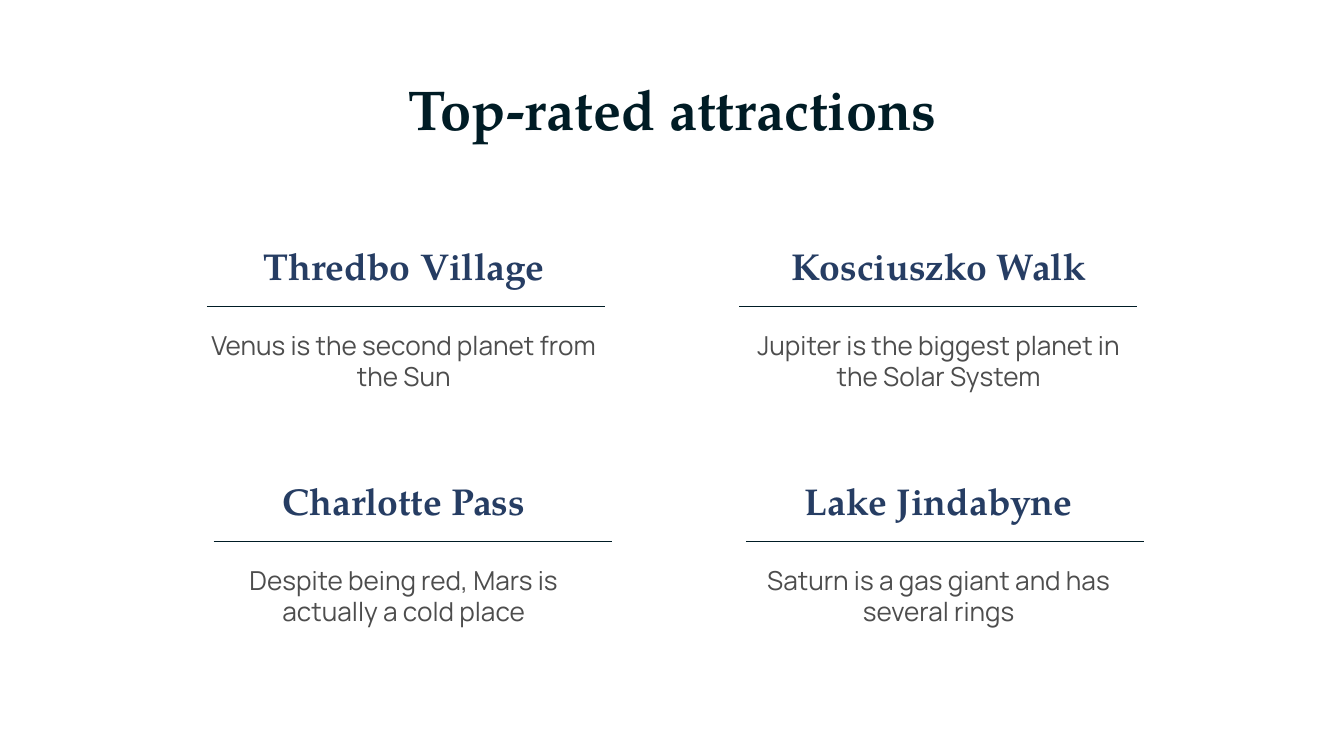
from dataclasses import dataclass

from lxml.etree import SubElement
from pptx import Presentation
from pptx.dml.color import RGBColor
from pptx.enum.shapes import MSO_CONNECTOR
from pptx.enum.text import MSO_ANCHOR, MSO_AUTO_SIZE, PP_ALIGN
from pptx.oxml.ns import qn
from pptx.util import Inches, Pt


@dataclass(frozen=True)
class Theme:
    """Colours, fonts and type sizes of the slide."""
    ink: RGBColor = RGBColor.from_string("001C25")
    heading: RGBColor = RGBColor.from_string("263D63")
    body: RGBColor = RGBColor.from_string("4D4D4D")
    paper: RGBColor = RGBColor.from_string("FFFFFF")
    serif: str = "TeX Gyre Pagella"
    sans: str = "Manrope"
    title_size: Pt = Pt(30)
    heading_size: Pt = Pt(20)
    body_size: Pt = Pt(14)
    rule_width: Pt = Pt(0.75)


THEME = Theme()

ATTRACTIONS = [
    ("Thredbo Village", "Venus is the second planet from the Sun"),
    ("Kosciuszko Walk", "Jupiter is the biggest planet in the Solar System"),
    ("Charlotte Pass", "Despite being red, Mars is actually a cold place"),
    ("Lake Jindabyne", "Saturn is a gas giant and has several rings"),
]


def write_text(sp, text, font, size, color, bold=False, anchor=MSO_ANCHOR.TOP):
    """Fill a shape with one centred run of styled text."""
    tf = sp.text_frame
    tf.word_wrap = True
    tf.auto_size = MSO_AUTO_SIZE.NONE
    tf.vertical_anchor = anchor
    tf.margin_left = tf.margin_right = tf.margin_top = tf.margin_bottom = Inches(0.1)
    p = tf.paragraphs[0]
    p.alignment = PP_ALIGN.CENTER
    r = p.add_run()
    r.text = text
    r.font.name = font
    r.font.size = size
    r.font.bold = bold
    r.font.color.rgb = color


def add_title(s, left, top, width, height, text):
    """Place the slide title in its placeholder."""
    sp = s.shapes.title
    sp.left, sp.top, sp.width, sp.height = map(Inches, (left, top, width, height))
    write_text(sp, text, THEME.serif, THEME.title_size, THEME.ink, True, MSO_ANCHOR.MIDDLE)


def add_rule(s, left, top, width):
    """Draw a thin horizontal rule."""
    line = s.shapes.add_connector(
        MSO_CONNECTOR.STRAIGHT, Inches(left), Inches(top), Inches(left + width), Inches(top))
    line.line.color.rgb = THEME.ink
    line.line.width = THEME.rule_width
    SubElement(line._element.spPr, qn("a:effectLst"))


def add_attraction(s, left, top, width, name, description, rule_inset):
    """Place a heading, a rule and a description in one card."""
    heading = s.shapes.add_textbox(Inches(left), Inches(top), Inches(width), Inches(0.58))
    write_text(heading, name, THEME.serif, THEME.heading_size, THEME.heading, True)
    body_width = 3.14
    body = s.shapes.add_textbox(
        Inches(left + (width - body_width) / 2), Inches(top + 0.64),
        Inches(body_width), Inches(0.53))
    write_text(body, description, THEME.sans, THEME.body_size, THEME.body)
    add_rule(s, left + rule_inset, top + 0.57, 2.96)


def add_attraction_grid(s, left, top, column_step, row_step):
    """Lay out the attractions in two columns."""
    for i, (name, description) in enumerate(ATTRACTIONS):
        row, column = divmod(i, 2)
        add_attraction(s, left + column * column_step, top + row * row_step, 3.93,
                       name, description, 0.5 + row * 0.05 - column * 0.02)


def main():
    """Build and save the slide."""
    prs = Presentation()
    prs.slide_width = Inches(10)
    prs.slide_height = prs.slide_width * 9 // 16
    s = prs.slides.add_slide(prs.slide_layouts[5])
    s.background.fill.solid()
    s.background.fill.fore_color.rgb = THEME.paper
    add_title(s, 0.79, 0.49, 8.43, 0.63, "Top-rated attractions")
    add_attraction_grid(s, 1.04, 1.71, 3.98, 1.75)
    prs.save("out.pptx")


if __name__ == "__main__":
    main()
